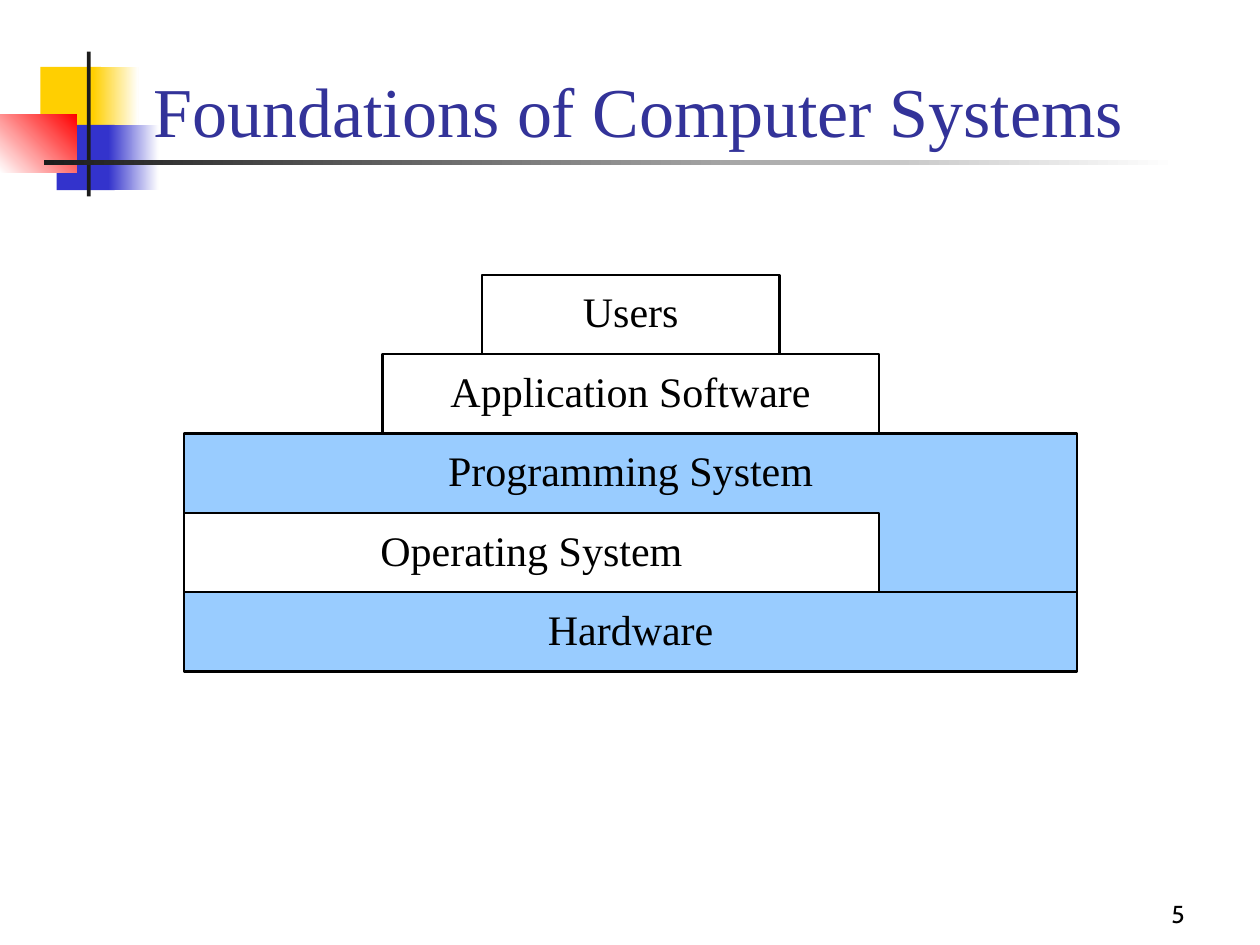
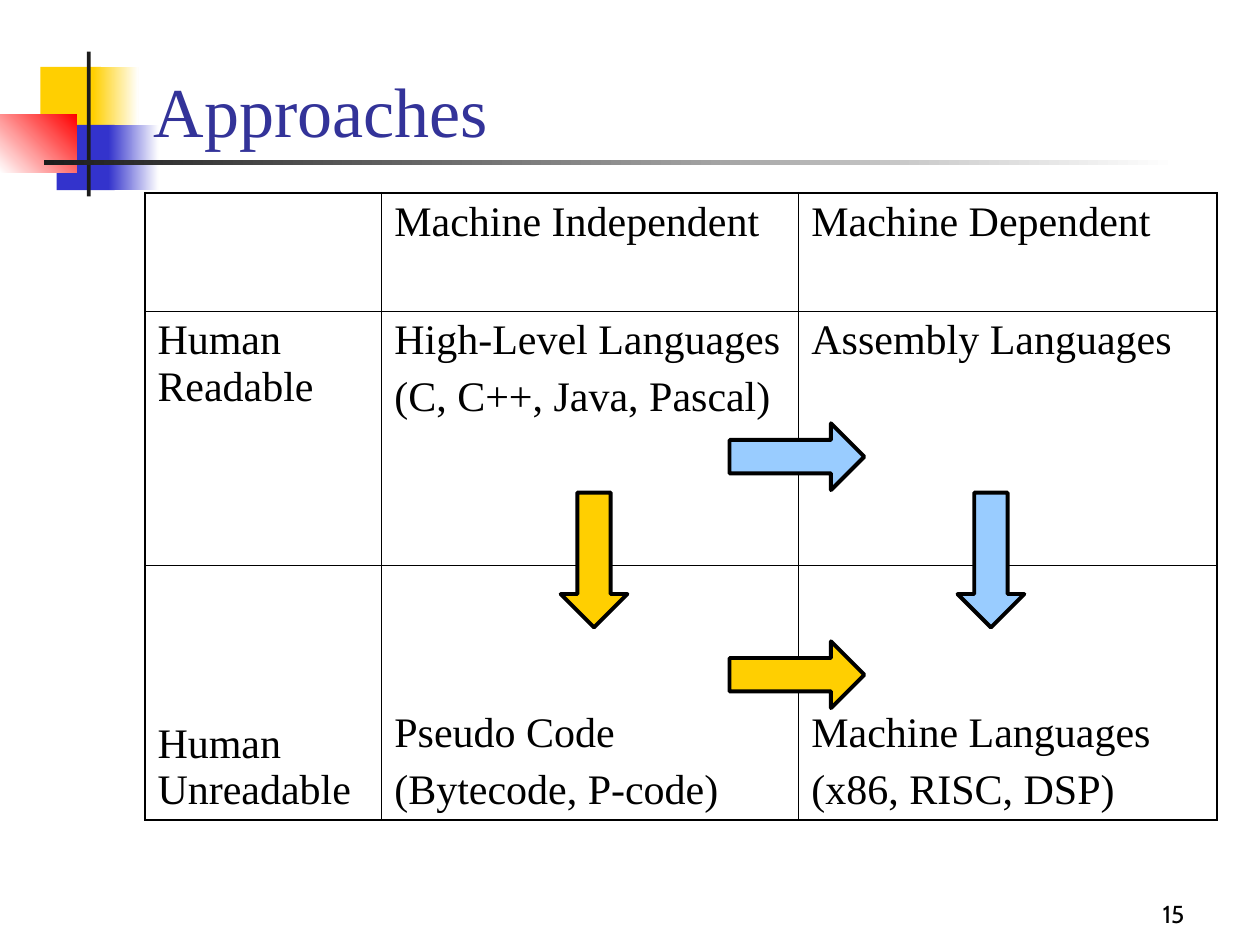
from dataclasses import dataclass
from typing import Any

from lxml.etree import SubElement
from pptx import Presentation
from pptx.dml.color import RGBColor
from pptx.enum.shapes import MSO_SHAPE
from pptx.enum.text import MSO_ANCHOR, MSO_AUTO_SIZE, PP_ALIGN
from pptx.oxml.ns import qn
from pptx.util import Inches, Pt

BLACK, WHITE, INK = "000000", "FFFFFF", "1C1C1C"
GOLD, BLUE, RED, SKY, NAVY = "FFCF01", "3333CC", "FF0000", "99CCFF", "333399"
SERIF, SANS = "Times New Roman", "Cabin"
INSETS = {
    "margin_left": Inches(0.1), "margin_right": Inches(0.1),
    "margin_top": Inches(0.05), "margin_bottom": Inches(0.05),
}
TITLE_FRAME = INSETS | {
    "word_wrap": True, "auto_size": MSO_AUTO_SIZE.NONE,
    "vertical_anchor": MSO_ANCHOR.BOTTOM,
}
LAYER_FRAME = INSETS | {
    "margin_top": Inches(0.09), "word_wrap": True,
    "vertical_anchor": MSO_ANCHOR.TOP,
}


@dataclass
class Box:
    left: float
    top: float
    width: float
    height: float

    def place(self) -> list[int]:
        return [Inches(v) for v in (self.left, self.top, self.width, self.height)]


@dataclass
class Block:
    """A rectangle of the corner motif; with an end colour it fades."""
    box: Box
    start: str
    end: str = ""
    angle: int = 0


@dataclass
class Layer:
    """One step of the stack, counted in columns and rows."""
    text: str
    col: int
    row: int
    cols: int
    rows: int = 1
    fill: str = ""


@dataclass
class Arrow:
    kind: MSO_SHAPE
    box: Box
    fill: str


MOTIF = [
    Block(Box(0.32, 0.53, 0.48, 0.52), GOLD),
    Block(Box(0.74, 0.53, 0.36, 0.52), GOLD, WHITE),
    Block(Box(0.45, 0.99, 0.46, 0.52), BLUE),
    Block(Box(0.86, 0.99, 0.4, 0.52), BLUE, WHITE),
    Block(Box(0, 0.91, 0.61, 0.46), WHITE, RED, 45),
    Block(Box(0.69, 0.41, 0.03, 1.15), INK),
    Block(Box(0.35, 1.27, 9, 0.04), INK, WHITE),
]
STACK = Box(1.46, 2.18, 7.09, 3.15)
COL, ROW = STACK.width / 9, STACK.height / 5
LAYERS = [
    Layer("Users", 3, 0, 3),
    Layer("Application Software", 2, 1, 5),
    Layer("Programming System", 0, 2, 9, 2, SKY),
    Layer("Hardware", 0, 4, 9, 1, SKY),
    Layer("Operating System", 0, 3, 7, 1, WHITE),
]
GRID = Box(1.15, 1.53, 8.51, 4.98)
WIDTHS, HEIGHTS = (1.88, 3.31, 3.32), (0.94, 2.02, 2.02)
CELLS = [
    ["", "Machine Independent", "Machine Dependent"],
    ["Human Readable", "High-Level Languages\n(C, C++, Java, Pascal)",
     "Assembly Languages"],
    ["Human Unreadable", "Pseudo Code\n(Bytecode, P-code)",
     "Machine Languages\n(x86, RISC, DSP)"],
]
LONG, WIDE = 1.07, 0.53
ARROWS = [
    Arrow(MSO_SHAPE.RIGHT_ARROW, Box(5.79, 3.36, LONG, WIDE), SKY),
    Arrow(MSO_SHAPE.DOWN_ARROW, Box(7.6, 3.91, WIDE, LONG), SKY),
    Arrow(MSO_SHAPE.DOWN_ARROW, Box(4.45, 3.91, WIDE, LONG), GOLD),
    Arrow(MSO_SHAPE.RIGHT_ARROW, Box(5.79, 5.09, LONG, WIDE), GOLD),
]


def tint(code: str) -> RGBColor:
    return RGBColor.from_string(code)


def apply(item: Any, values: dict[str, Any]) -> None:
    for name, value in values.items():
        setattr(item, name, value)


def write(frame: Any, text: str, size: int, align: PP_ALIGN = PP_ALIGN.LEFT,
          color: str = BLACK, face: str = SERIF, before: int = 0) -> None:
    frame.text = text
    for para in frame.paragraphs:
        apply(para, {"alignment": align, "space_before": Pt(before)})
        for run in para.runs:
            apply(run.font, {"size": Pt(size), "name": face, "bold": False})
            run.font.color.rgb = tint(color)


def draw(slide: Any, kind: MSO_SHAPE, box: Box, fill: str = "",
         line: float = 0) -> Any:
    shape = slide.shapes.add_shape(kind, *box.place())
    shape.shadow.inherit = False
    if fill:
        shape.fill.solid()
        shape.fill.fore_color.rgb = tint(fill)
    else:
        shape.fill.background()
    if line:
        shape.line.width = Pt(line)
        shape.line.color.rgb = tint(BLACK)
    else:
        shape.line.fill.background()
    return shape


def fade(shape: Any, block: Block) -> None:
    shape.fill.gradient()
    shape.fill.gradient_angle = block.angle
    for stop, code, spot in zip(shape.fill.gradient_stops,
                                (block.start, block.end), (0, 1)):
        stop.color.rgb = tint(code)
        stop.position = spot


def start(deck: Any, title: str, number: int) -> Any:
    """Add a slide with the motif, its title and its number."""
    slide = deck.slides.add_slide(deck.slide_layouts[5])
    for block in MOTIF:
        shape = draw(slide, MSO_SHAPE.RECTANGLE, block.box, block.start)
        if block.end:
            fade(shape, block)
    note = slide.shapes.add_textbox(*Box(7.42, 6.92, 2.08, 0.5).place())
    apply(note.text_frame, TITLE_FRAME)
    write(note.text_frame, str(number), 14, PP_ALIGN.RIGHT, face=SANS)
    head = slide.shapes.title
    head.left, head.top, head.width, head.height = Box(1.12, 0.42, 8.5, 0.83).place()
    apply(head.text_frame, TITLE_FRAME)
    write(head.text_frame, title, 40, color=NAVY)
    slide.shapes._spTree.append(head._element)  # in front of the motif
    return slide


def stack(slide: Any) -> None:
    for layer in LAYERS:
        box = Box(STACK.left + layer.col * COL, STACK.top + layer.row * ROW,
                  layer.cols * COL, layer.rows * ROW)
        shape = draw(slide, MSO_SHAPE.RECTANGLE, box, layer.fill, 1.25)
        apply(shape.text_frame, LAYER_FRAME)
        write(shape.text_frame, layer.text, 24, PP_ALIGN.CENTER)


def frame(cell: Any, row: int, col: int) -> None:
    """Rule the cell, heavier where it meets the table's edge."""
    edges = {"a:lnL": col == 0, "a:lnR": col == len(WIDTHS) - 1,
             "a:lnT": row == 0, "a:lnB": row == len(HEIGHTS) - 1}
    props = cell._tc.get_or_add_tcPr()
    for tag, outer in edges.items():
        line = SubElement(props, qn(tag), w=str(Pt(1.08 if outer else 0.45)))
        fill = SubElement(line, qn("a:solidFill"))
        SubElement(fill, qn("a:srgbClr"), val=BLACK)


def grid(slide: Any) -> None:
    table = slide.shapes.add_table(len(HEIGHTS), len(WIDTHS), *GRID.place()).table
    apply(table, {"first_row": False, "horz_banding": False})
    for column, width in zip(table.columns, WIDTHS):
        column.width = Inches(width)
    for line, height in zip(table.rows, HEIGHTS):
        line.height = Inches(height)
    for row, texts in enumerate(CELLS):
        last = row == len(CELLS) - 1
        anchor = MSO_ANCHOR.BOTTOM if last else MSO_ANCHOR.TOP
        for col, text in enumerate(texts):
            cell = table.cell(row, col)
            apply(cell, INSETS | {"vertical_anchor": anchor})
            write(cell.text_frame, text, 24, before=6)
            frame(cell, row, col)
            cell.fill.background()


def main() -> None:
    deck = Presentation()
    apply(deck, {"slide_width": Inches(10), "slide_height": Inches(7.5)})
    stack(start(deck, "Foundations of Computer Systems", 5))
    slide = start(deck, "Approaches", 15)
    grid(slide)
    for arrow in ARROWS:
        draw(slide, arrow.kind, arrow.box, arrow.fill, 2.25)
    deck.save("out.pptx")


if __name__ == "__main__":
    main()
